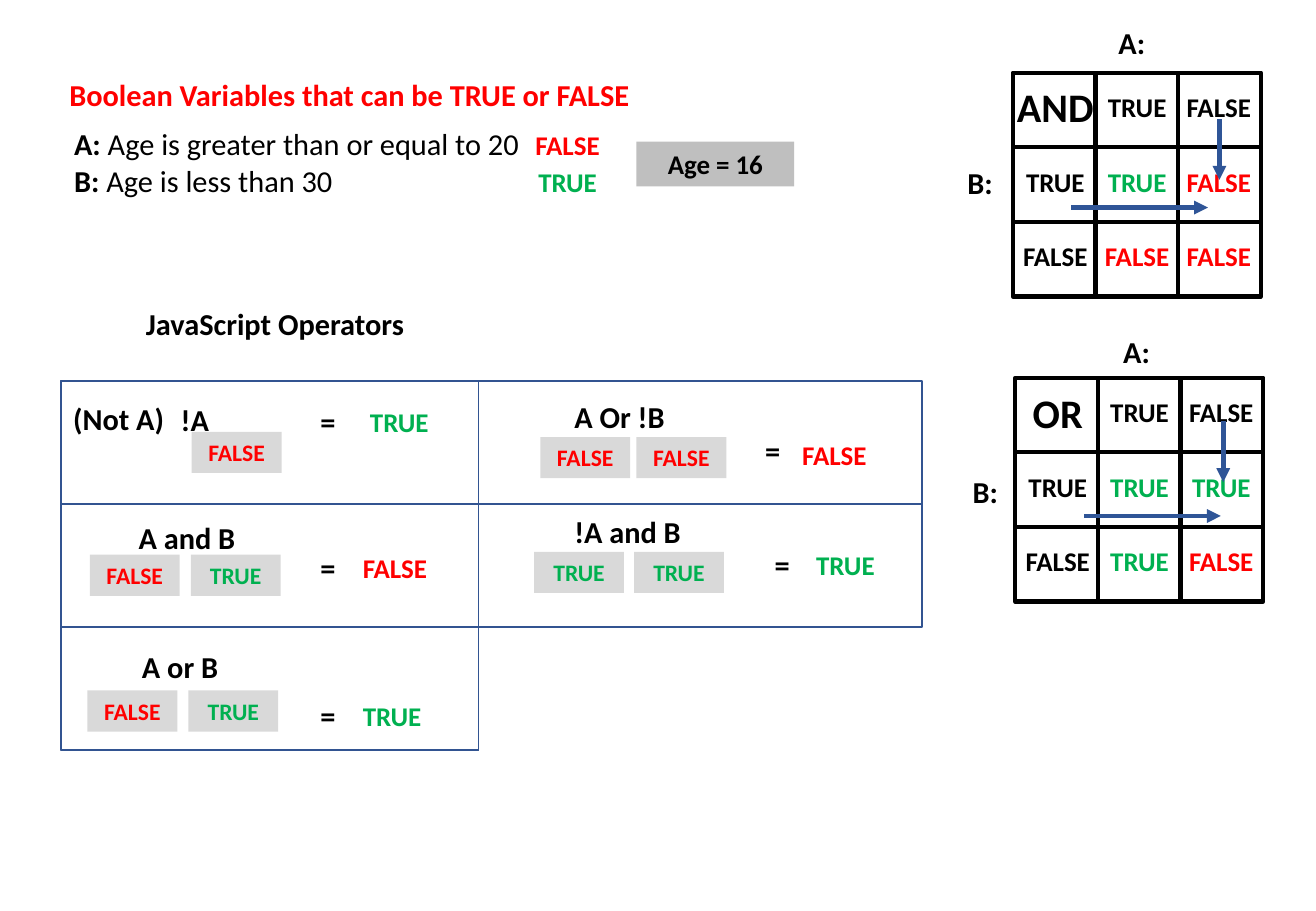
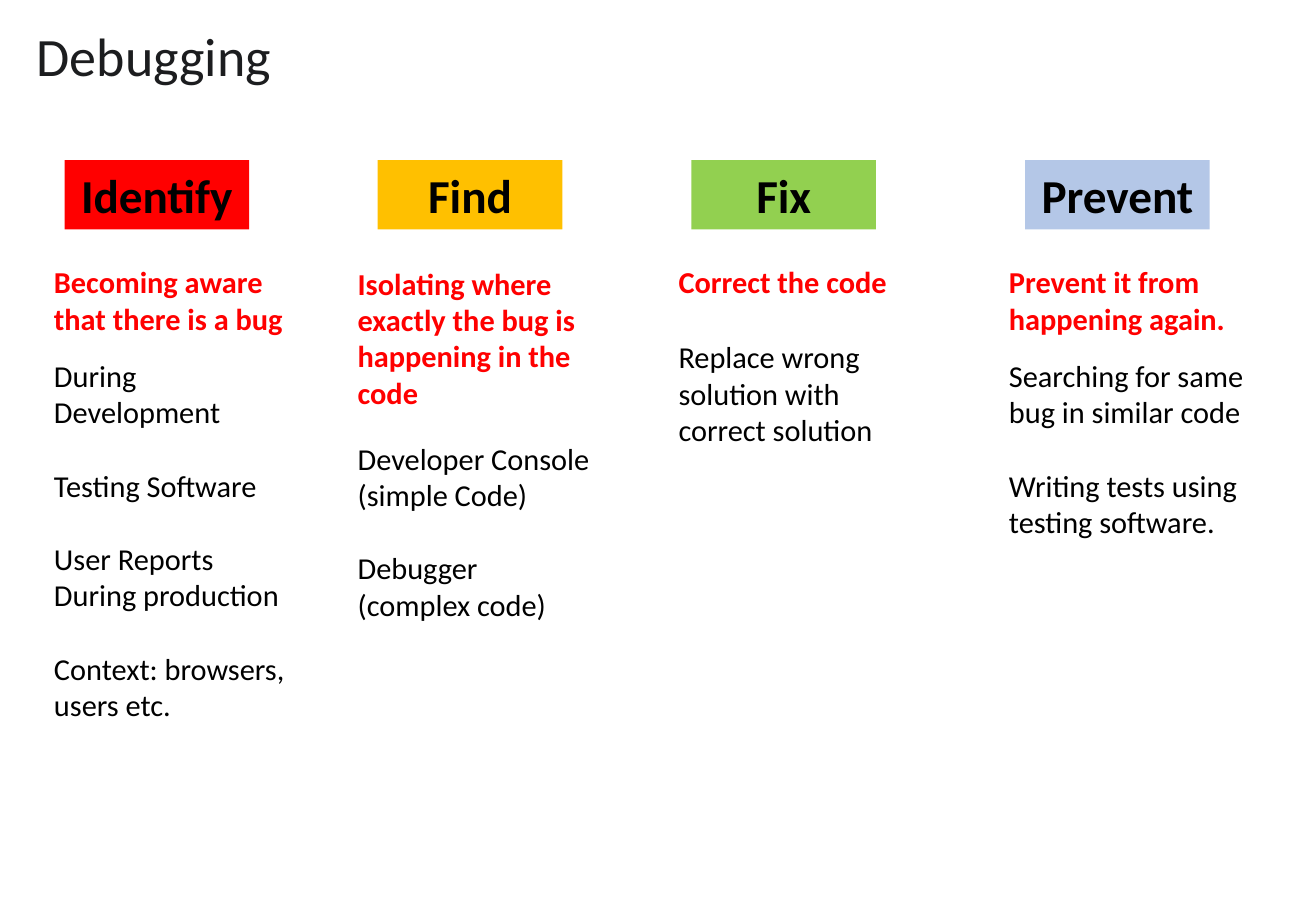
import pptx
import pptx.dml.color
import pptx.enum.shapes
import pptx.enum.text
import pptx.oxml.ns
import pptx.util
from lxml import etree

Cm = pptx.util.Cm
Pt = pptx.util.Pt
ALIGN = pptx.enum.text.PP_ALIGN
TOP = pptx.enum.text.MSO_ANCHOR.TOP
BLACK, RED, GREEN = "000000", "FF0000", "00B050"
LOGIC_COLORS = {"TRUE": GREEN, "FALSE": RED}


def rgb(value):
    """Turn a hex string into a colour."""
    return pptx.dml.color.RGBColor.from_string(value)


def add_child(parent, tag, **attributes):
    """Append a DrawingML element to a parent."""
    return etree.SubElement(parent, pptx.oxml.ns.qn(tag), attributes)


def text_height(lines):
    """Give the height in centimetres of a box with lines of 18 points."""
    return round(0.25 + 0.77 * lines, 2)


def write_text(frame, lines, size=18, color=BLACK, bold=True, align=ALIGN.LEFT, gap=0):
    """Fill a frame with lines, each a string or a list of (text, bold) runs."""
    frame.word_wrap = True
    for index, line in enumerate([lines] if isinstance(lines, str) else lines):
        paragraph = frame.paragraphs[0] if index == 0 else frame.add_paragraph()
        paragraph.alignment = align
        paragraph.space_before = Pt(gap if index else 0)
        for text, heavy in [(line, bold)] if isinstance(line, str) else line:
            run = paragraph.add_run()
            run.text = text
            run.font.name = "Calibri"
            run.font.size = Pt(size)
            run.font.bold = heavy
            run.font.color.rgb = rgb(color)


class Deck:
    """Hold the presentation, its style and the current slide."""

    arrow_color = "2F5597"
    grid_color = "325491"
    chip_color = "D9D9D9"

    def __init__(self):
        """Start an empty presentation."""
        self.presentation = pptx.Presentation()
        self.presentation.slide_width = Cm(27.52)
        self.presentation.slide_height = Cm(19.05)
        self.slide = None

    def new_slide(self):
        """Add a blank slide and make it current."""
        self.slide = self.presentation.slides.add_slide(self.presentation.slide_layouts[6])

    def text(self, left, top, width, height, lines, **style):
        """Add a text box."""
        shape = self.slide.shapes.add_textbox(Cm(left), Cm(top), Cm(width), Cm(height))
        write_text(shape.text_frame, lines, **style)

    def box(self, left, top, width, height, fill=None, line=None, weight=1, text=None, **style):
        """Add a rectangle that is filled, outlined or labelled."""
        shape = self.slide.shapes.add_shape(
            pptx.enum.shapes.MSO_SHAPE.RECTANGLE, Cm(left), Cm(top), Cm(width), Cm(height))
        shape.shadow.inherit = False
        if fill:
            shape.fill.solid()
            shape.fill.fore_color.rgb = rgb(fill)
        else:
            shape.fill.background()
        if line:
            shape.line.color.rgb = rgb(line)
            shape.line.width = Pt(weight)
        else:
            shape.line.fill.background()
        if text:
            shape.text_frame.vertical_anchor = TOP
            write_text(shape.text_frame, text, align=ALIGN.CENTER, **style)

    def logic(self, left, top, value, color=None):
        """Add a centred TRUE or FALSE, by default in its own colour."""
        self.text(left, top, 2.18, 0.94, value, size=16,
                  color=color or LOGIC_COLORS[value], align=ALIGN.CENTER)

    def arrow(self, left, top, right, bottom):
        """Add a straight arrow."""
        connector = self.slide.shapes.add_connector(
            pptx.enum.shapes.MSO_CONNECTOR.STRAIGHT, Cm(left), Cm(top), Cm(right), Cm(bottom))
        connector.line.color.rgb = rgb(self.arrow_color)
        connector.line.width = Pt(2.75)
        add_child(connector.line._get_or_add_ln(), "a:tailEnd", type="triangle")
        add_child(connector._element.spPr, "a:effectLst")

    def truth_table(self, left, top, name, results, column_label, row_label, across, down):
        """Add a two-variable truth table with its labels and arrows."""
        for row in range(3):
            for column in range(3):
                self.box(left + 1.73 * column, top + 1.56 * row, 1.73, 1.56,
                         line=BLACK, weight=2.5)
        self.text(left - 0.2, top + 0.08, 2.18, 1.27, name, size=24, align=ALIGN.CENTER)
        text_lefts = [left - 0.2 + 1.71 * column for column in range(3)]
        text_tops = [top + 0.25 + 1.56 * row for row in range(3)]
        for index, value in enumerate(LOGIC_COLORS, 1):
            self.logic(text_lefts[index], text_tops[0], value, BLACK)
            self.logic(text_lefts[0], text_tops[index], value, BLACK)
        for values, text_top in zip(results, text_tops[1:]):
            for value, text_left in zip(values, text_lefts[1:]):
                self.logic(text_left, text_top, value)
        self.text(*column_label, 1.19, 1.02, "A:")
        self.text(*row_label, 1.19, 1.02, "B:")
        self.arrow(*across, across[0] + 2.86, across[1])
        self.arrow(*down, down[0], down[1] + 1.27)

    def expression(self, label, label_at, operands, chip_lefts, chip_top,
                   equals_at, result, result_at):
        """Add an expression, its operand values and its result."""
        self.text(*label_at, 2.97, 1.02, label)
        for value, left in zip(operands, chip_lefts):
            self.box(left, chip_top, 1.88, 0.86, fill=self.chip_color,
                     text=value, size=14, color=LOGIC_COLORS[value])
        self.text(*equals_at, 1.42, 1.02, "=")
        self.logic(*result_at, result)


def boolean_slide(deck):
    """Build the slide on Boolean variables and operators."""
    deck.new_slide()
    deck.text(1.2, 1.47, 13.74, 1.02, "Boolean Variables that can be TRUE or FALSE", color=RED)
    deck.text(1.3, 2.5, 9.91, 1.8, [
        [("A: ", True), ("Age is greater than or equal to 20", False)],
        [("B: ", True), ("Age is less than 30", False)]])
    deck.logic(10.78, 2.57, "FALSE")
    deck.logic(10.78, 3.34, "TRUE")
    deck.box(13.31, 2.96, 3.3, 0.94, fill="BFBFBF", text="Age = 16", size=16)

    deck.truth_table(21.18, 1.52, "AND", [("TRUE", "FALSE"), ("FALSE", "FALSE")],
                     (23.14, 0.38), (19.98, 3.3), (22.4, 4.34), (25.5, 2.49))
    deck.truth_table(21.23, 7.9, "OR", [("TRUE", "TRUE"), ("TRUE", "FALSE")],
                     (23.24, 6.84), (20.09, 9.78), (22.67, 10.79), (25.58, 8.81))

    deck.text(2.8, 6.25, 6.58, 1.02, "JavaScript Operators")
    for row, width in enumerate((18.01, 18.01, 8.74)):
        deck.box(1.27, 7.97 + 2.57 * row, width, 2.57, line=deck.grid_color)
    deck.box(1.27, 7.97, 8.74, 7.71, line=deck.grid_color)
    deck.text(1.28, 8.24, 2.54, 1.02, "(Not A)")
    for expression in (
            ("!A", (3.53, 8.27), ["FALSE"], [4.01], 9.03,
             (6.45, 8.3), "TRUE", (7.26, 8.35)),
            ("A and B", (2.65, 10.74), ["FALSE", "TRUE"], [1.88, 3.99], 11.6,
             (6.45, 11.35), "FALSE", (7.17, 11.4)),
            ("A or B", (2.72, 13.43), ["FALSE", "TRUE"], [1.83, 3.94], 14.44,
             (6.45, 14.45), "TRUE", (7.11, 14.5)),
            ("A Or !B", (11.76, 8.2), ["FALSE", "FALSE"], [11.3, 13.31], 9.14,
             (15.75, 8.92), "FALSE", (16.36, 9.04)),
            ("!A and B", (11.76, 10.6), ["TRUE", "TRUE"], [11.17, 13.26], 11.54,
             (15.95, 11.3), "TRUE", (16.59, 11.35))):
        deck.expression(*expression)


def debugging_slide(deck):
    """Build the slide on the four debugging steps."""
    deck.new_slide()
    deck.text(0.52, 0.34, 21.67, 1.63, "Debugging", size=32, color="1C1D1F", bold=False)
    steps = (
        ("Identify", RED, 1.35, 0.88, 5.38, 2, "Becoming aware that there is a bug", 7.34, 10,
         ["During Development", "Testing Software", "User Reports During production",
          "Context: browsers, users etc."]),
        ("Find", "FFC000", 7.9, 7.23, 5.41, 4,
         "Isolating where exactly the bug is happening in the code", 9.07, 5,
         ["Developer Console (simple Code)", "Debugger (complex code)"]),
        ("Fix", "92D050", 14.46, 13.94, 5.38, 1, "Correct the code", 6.95, 3,
         ["Replace wrong solution with correct solution"]),
        ("Prevent", "B4C7E7", 21.44, 20.85, 5.38, 2, "Prevent it from happening again.", 7.34, 6,
         ["Searching for same bug in similar code", "Writing tests using testing software."]))
    for (name, fill, box_left, text_left, summary_top, summary_lines, summary,
         detail_top, detail_lines, details) in steps:
        deck.box(box_left, 3.35, 3.86, 1.45, fill=fill, text=name, size=28)
        deck.text(text_left, summary_top, 5.41, text_height(summary_lines), summary, color=RED)
        deck.text(text_left, detail_top, 5.41, text_height(detail_lines), details,
                  bold=False, gap=21.9)


def main():
    """Build and save the presentation."""
    deck = Deck()
    boolean_slide(deck)
    debugging_slide(deck)
    deck.presentation.save("out.pptx")


if __name__ == "__main__":
    main()
